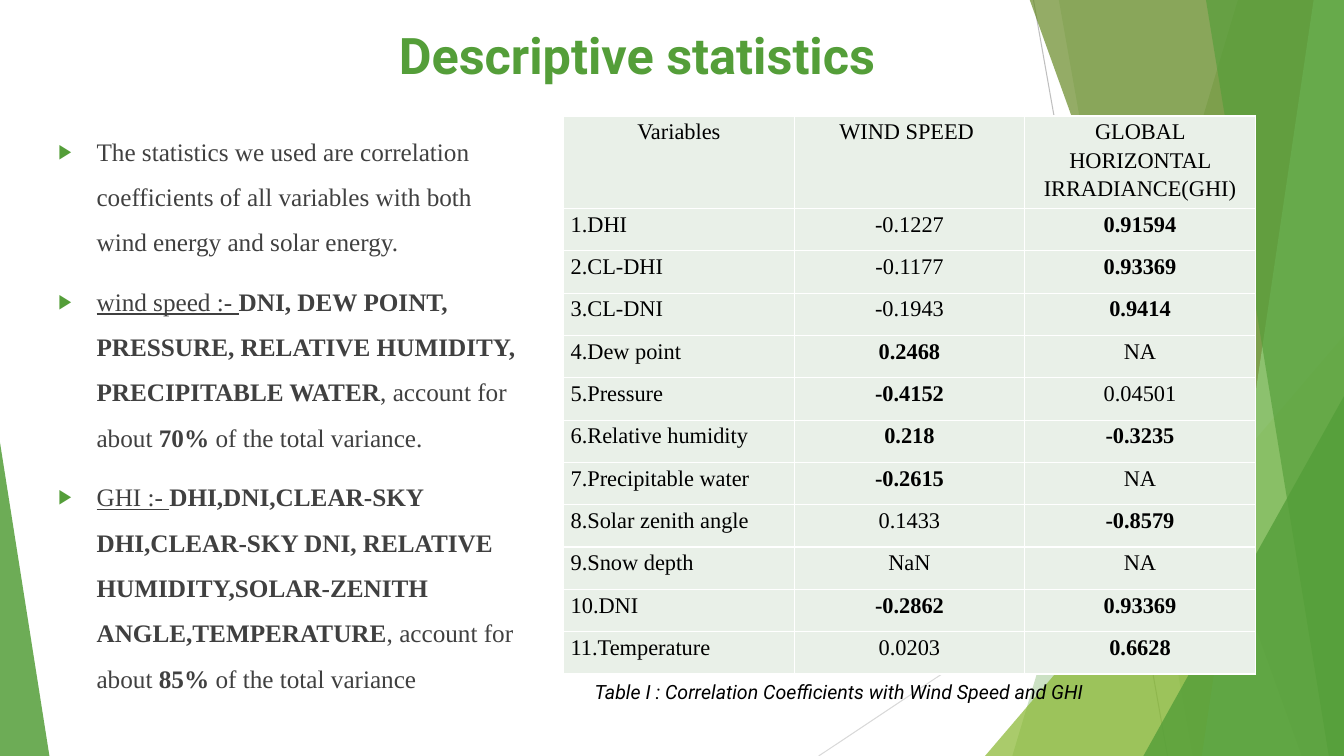
from lxml import etree
from pptx import Presentation
from pptx import util as u
from pptx.dml.color import RGBColor
from pptx.enum import shapes, text
from pptx.oxml.ns import qn

PX = 9144
WIDTH, HEIGHT = 1333, 750
SERIF, SANS = "Times New Roman", "Roboto"
COLORS = {
    "green": "549E39", "lime": "8AB833", "olive": "678A26", "mint": "93D07D",
    "gray": "BFBFBF", "silver": "D9D9D9", "body": "404040", "black": "000000",
    "white": "FFFFFF", "cell": "E9F0E8",
}
STRONG = 0.2
HEADERS = ["Variables", "WIND SPEED ", "GLOBAL HORIZONTAL IRRADIANCE(GHI)"]
CORRELATIONS = [
    ("DHI", "-0.1227", "0.91594"),
    ("CL-DHI", "-0.1177", "0.93369"),
    ("CL-DNI", "-0.1943", "0.9414"),
    ("Dew point", "0.2468", "NA"),
    ("Pressure", "-0.4152", "0.04501"),
    ("Relative humidity", "0.218", "-0.3235"),
    ("Precipitable water", "-0.2615", "NA"),
    ("Solar zenith angle", "0.1433", "-0.8579"),
    ("Snow depth", "NaN", "NA"),
    ("DNI", "-0.2862", "0.93369"),
    ("Temperature", "0.0203", "0.6628"),
]
FINDINGS = [
    [("The statistics we used are correlation coefficients of all variables "
      "with both wind energy and solar energy.", "")],
    [("wind speed :- ", "u"),
     ("DNI, DEW POINT, PRESSURE, RELATIVE HUMIDITY, PRECIPITABLE WATER", "b"),
     (", account for about ", ""), ("70%", "b"), (" of the total variance.", "")],
    [("GHI :- ", "u"),
     ("DHI,DNI,CLEAR-SKY DHI,CLEAR-SKY DNI, RELATIVE HUMIDITY,"
      "SOLAR-ZENITH ANGLE,TEMPERATURE", "b"),
     (", account for about ", ""), ("85%", "b"), (" of the total variance", "")],
]


def px(*lengths):
    """Turn px lengths into EMU."""
    return [u.Emu(length * PX) for length in lengths]


def rgb(name):
    """Look up a colour by name."""
    return RGBColor.from_string(COLORS[name])


def style(font, family, size, color, bold=False):
    """Set the look of a font."""
    font.name, font.size, font.bold = family, u.Pt(size), bold
    font.color.rgb = rgb(color)


def paint(shape, color, opacity):
    """Give a shape a see-through fill and no outline or shadow."""
    shape.shadow.inherit = False
    shape.line.fill.background()
    shape.fill.solid()
    shape.fill.fore_color.rgb = rgb(color)
    fill = shape.fill._xPr.find(qn("a:solidFill"))
    etree.SubElement(fill[0], qn("a:alpha"), val=str(opacity * 1000))


def add_ray(slide, box, start, end, color):
    """Draw a thin line between two points of the box."""
    left, top = box[:2]
    ray = slide.shapes.add_connector(
        shapes.MSO_CONNECTOR.STRAIGHT,
        *px(left + start[0], top + start[1], left + end[0], top + end[1]))
    ray.line.color.rgb = rgb(color)
    ray.line.width = u.Pt(0.75)
    etree.SubElement(ray._element.spPr, qn("a:effectLst"))


def add_panel(slide, box, top_x, bottom_x, color, opacity):
    """Fill from a slanted edge to the right side of the box."""
    left, top, width, height = box
    right, bottom = left + width, top + height
    builder = slide.shapes.build_freeform(left + top_x, top - 1, scale=PX)
    builder.add_line_segments(
        [(right, top - 1), (right, bottom), (left + bottom_x, bottom)])
    paint(builder.convert_to_shape(), color, opacity)


def add_corner(slide, box, width, height, apex, color, opacity):
    """Stand a right triangle in a lower corner, apex 0 left or 1 right."""
    left, top, box_width, box_height = box
    corner = slide.shapes.add_shape(
        shapes.MSO_SHAPE.ISOSCELES_TRIANGLE,
        *px(left + apex * (box_width - width), top + box_height - height, width, height))
    corner.adjustments[0] = apex
    paint(corner, color, opacity)


def add_backdrop(slide, box):
    """Layer the green facets from back to front."""
    add_ray(slide, box, (1025, 0), (1158, 750), "gray")
    add_ray(slide, box, (1333, 403), (812, 750), "silver")
    add_panel(slide, box, 1228, 1004, "green", 30)
    add_panel(slide, box, 1050, 1183, "green", 20)
    add_corner(slide, box, 356, 417, 1, "lime", 72)
    add_panel(slide, box, 1021, 1291, "olive", 70)
    add_panel(slide, box, 1303, 1192, "mint", 70)
    add_panel(slide, box, 1196, 1318, "green", 65)
    add_corner(slide, box, 199, 357, 1, "green", 80)
    add_corner(slide, box, 49, 311, 0, "green", 85)


def add_text(slide, box):
    """Add an empty wrapping text box and return its frame."""
    frame = slide.shapes.add_textbox(*px(*box)).text_frame
    frame.word_wrap = True
    return frame


def add_title(slide, box):
    """Write the centred heading."""
    paragraph = add_text(slide, box).paragraphs[0]
    paragraph.text = "Descriptive statistics"
    paragraph.alignment = text.PP_ALIGN.CENTER
    style(paragraph.runs[0].font, SANS, 36, "green", True)


def add_bullet(paragraph):
    """Hang a green arrow in front of a paragraph."""
    properties = paragraph._p.get_or_add_pPr()
    properties.set("marL", str(38 * PX))
    properties.set("indent", str(-38 * PX))
    color = etree.SubElement(properties, qn("a:buClr"))
    etree.SubElement(color, qn("a:srgbClr"), val=COLORS["green"])
    etree.SubElement(properties, qn("a:buSzPct"), val="80000")
    etree.SubElement(properties, qn("a:buFont"), typeface="Arial")
    etree.SubElement(properties, qn("a:buChar"), char="▶")


def add_findings(slide, box):
    """Write the bulleted findings."""
    frame = add_text(slide, box)
    for index, finding in enumerate(FINDINGS):
        paragraph = frame.add_paragraph() if index else frame.paragraphs[0]
        paragraph.line_spacing = 1.5
        paragraph.space_before = u.Pt(10 if index else 0)
        add_bullet(paragraph)
        for words, mark in finding:
            run = paragraph.add_run()
            run.text = words
            style(run.font, SERIF, 18, "body", mark == "b")
            run.font.underline = mark == "u"


def add_borders(cell):
    """Draw white borders around a cell."""
    properties = cell._tc.get_or_add_tcPr()
    for index, side in enumerate(("lnL", "lnR", "lnT", "lnB")):
        line = etree.Element(qn(f"a:{side}"), w=str(u.Pt(1)))
        fill = etree.SubElement(line, qn("a:solidFill"))
        etree.SubElement(fill, qn("a:srgbClr"), val=COLORS["white"])
        properties.insert(index, line)


def is_strong(value):
    """Tell whether a correlation is large enough to stand out."""
    return value not in ("NA", "NaN") and abs(float(value)) >= STRONG


def fill_cell(cell, words, centred, bold):
    """Write and style one table cell."""
    cell.margin_left, cell.margin_right, cell.margin_top, cell.margin_bottom = px(7, 7, 0, 0)
    cell.fill.solid()
    cell.fill.fore_color.rgb = rgb("cell")
    add_borders(cell)
    paragraph = cell.text_frame.paragraphs[0]
    paragraph.text = words
    paragraph.line_spacing = 1.15
    paragraph.alignment = text.PP_ALIGN.CENTER if centred else text.PP_ALIGN.LEFT
    style(paragraph.runs[0].font, SERIF, 16, "black", bold)


def add_correlations(slide, box):
    """Build the correlation table with a tall header row."""
    row_height = 42
    table = slide.shapes.add_table(len(CORRELATIONS) + 1, len(HEADERS), *px(*box)).table
    for row in table.rows:
        row.height = px(row_height)[0]
    table.rows[0].height = px(box[3] - row_height * len(CORRELATIONS))[0]
    for column, header in enumerate(HEADERS):
        fill_cell(table.cell(0, column), header, True, False)
    for number, (variable, *values) in enumerate(CORRELATIONS, 1):
        fill_cell(table.cell(number, 0), f"{number}.{variable}", False, False)
        for column, value in enumerate(values, 1):
            fill_cell(table.cell(number, column), value, True, is_strong(value))


def add_caption(slide, box):
    """Write the italic table caption."""
    paragraph = add_text(slide, box).paragraphs[0]
    paragraph.text = "Table I : Correlation Coefficients with Wind Speed and GHI"
    style(paragraph.runs[0].font, SANS, 14, "black")
    paragraph.runs[0].font.italic = True


def main():
    """Build and save the slide."""
    presentation = Presentation()
    presentation.slide_width, presentation.slide_height = px(WIDTH, HEIGHT)
    slide = presentation.slides.add_slide(presentation.slide_layouts[6])
    add_backdrop(slide, (0, 0, WIDTH, HEIGHT))
    add_title(slide, (162, 19, 940, 96))
    add_findings(slide, (48, 115, 484, 546))
    add_correlations(slide, (559, 115, 686, 547))
    add_caption(slide, (580, 670, 614, 34))
    presentation.save("out.pptx")


if __name__ == "__main__":
    main()
